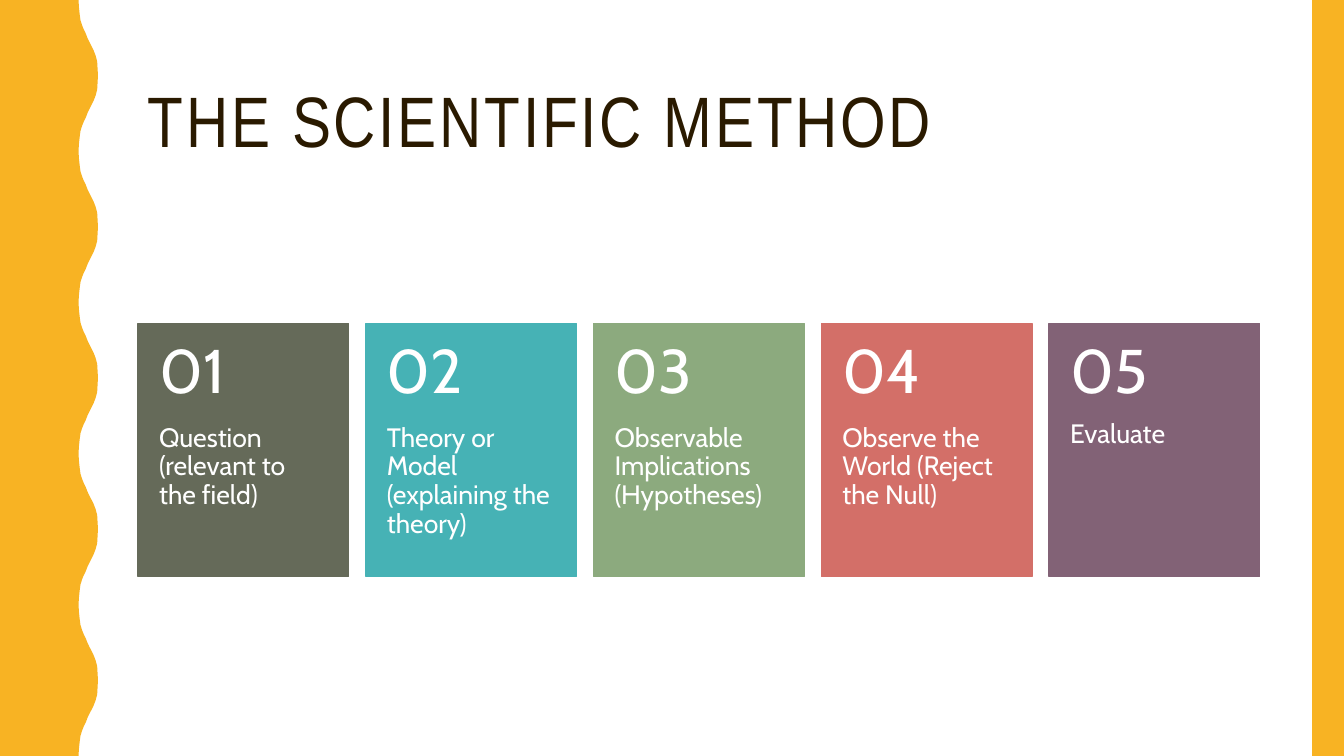
from pptx import Presentation
from pptx.dml.color import RGBColor
from pptx.enum.shapes import MSO_SHAPE
from pptx.enum.text import MSO_ANCHOR
from pptx.util import Cm, Pt

AMBER = RGBColor(0xF8, 0xB3, 0x23)
BROWN = RGBColor(0x2A, 0x1A, 0x00)
WHITE = RGBColor(0xFF, 0xFF, 0xFF)
OLIVE = RGBColor(0x65, 0x6A, 0x59)
TEAL = RGBColor(0x46, 0xB2, 0xB5)
GREEN = RGBColor(0x8C, 0xAA, 0x7E)
CORAL = RGBColor(0xD3, 0x6F, 0x68)
PLUM = RGBColor(0x82, 0x62, 0x76)

WIDTH, HEIGHT = 33.87, 19.05
WAVE_PERIOD = 3.81
HALF_WAVE = [
    (1.98, 0), (1.99, 0.18), (2.01, 0.36), (2.03, 0.51), (2.07, 0.64),
    (2.11, 0.74), (2.16, 0.84), (2.21, 0.97), (2.26, 1.07), (2.31, 1.17),
    (2.36, 1.27), (2.41, 1.4), (2.45, 1.55), (2.46, 1.73), (2.47, 1.9),
]
CARD_LEFT, CARD_TOP, CARD_PITCH = 3.48, 8.15, 5.74
CARD_WIDTH, CARD_HEIGHT, NUMBER_HEIGHT = 5.31, 6.38, 2.54
STEPS = [
    ("Question (relevant to the field)", OLIVE),
    ("Theory or Model (explaining the theory)", TEAL),
    ("Observable Implications (Hypotheses)", GREEN),
    ("Observe the World (Reject the Null)", CORAL),
    ("Evaluate", PLUM),
]
TITLE = {"size": Pt(51), "name": "Arial Narrow"}
NUMBER = {"size": Pt(44), "name": "Cabin"}
LABEL = {"size": Pt(19), "name": "Cabin"}


class Deck:
    """Draws styled elements on the current slide."""

    def __init__(self, slide):
        self.s = slide

    def paint(self, sp, color, outlined=False):
        sp.shadow.inherit = False
        sp.fill.solid()
        sp.fill.fore_color.rgb = color
        if outlined:
            sp.line.color.rgb = color
            sp.line.width = Pt(1)
        else:
            sp.line.fill.background()

    def rect(self, box, color, outlined=False):
        sp = self.s.shapes.add_shape(MSO_SHAPE.RECTANGLE, *map(Cm, box))
        self.paint(sp, color, outlined)

    def wave(self, color):
        mirrored = [(x, WAVE_PERIOD - y) for x, y in reversed(HALF_WAVE[1:-1])]
        edge = [(x, y + i * WAVE_PERIOD)
                for i in range(5) for x, y in HALF_WAVE + mirrored]
        points = edge + [(HALF_WAVE[0][0], HEIGHT), (0, HEIGHT)]
        builder = self.s.shapes.build_freeform(0, 0)
        builder.add_line_segments([(Cm(x), Cm(y)) for x, y in points])
        self.paint(builder.convert_to_shape(), color)

    def text(self, box, text, font, color, insets, anchor=MSO_ANCHOR.MIDDLE,
             spacing=None):
        tf = self.s.shapes.add_textbox(*map(Cm, box)).text_frame
        left, top, right, bottom = map(Cm, insets)
        frame = {"word_wrap": True, "vertical_anchor": anchor,
                 "margin_left": left, "margin_top": top,
                 "margin_right": right, "margin_bottom": bottom}
        for key, value in frame.items():
            setattr(tf, key, value)
        p = tf.paragraphs[0]
        p.line_spacing = 0.9
        r = p.add_run()
        r.text = text
        for key, value in font.items():
            setattr(r.font, key, value)
        r.font.color.rgb = color
        if spacing:
            r.font._element.set("spc", str(spacing))

    def card(self, index, label, color):
        left = CARD_LEFT + index * CARD_PITCH
        self.rect((left, CARD_TOP, CARD_WIDTH, CARD_HEIGHT), color, True)
        self.text((left, CARD_TOP + NUMBER_HEIGHT, CARD_WIDTH,
                   CARD_HEIGHT - NUMBER_HEIGHT), label, LABEL, WHITE,
                  (0.53, 0, 0.53, 0.91), MSO_ANCHOR.TOP)
        self.text((left, CARD_TOP, CARD_WIDTH, NUMBER_HEIGHT),
                  f"{index + 1:02}", NUMBER, WHITE, (0.53, 0.46, 0.53, 0.46))


def main():
    prs = Presentation()
    prs.slide_width, prs.slide_height = Cm(WIDTH), Cm(HEIGHT)
    deck = Deck(prs.slides.add_slide(prs.slide_layouts[6]))
    deck.text((3.48, 1.07, 28.27, 4.14), "THE SCIENTIFIC METHOD", TITLE, BROWN,
              (0.25, 0.13, 0.25, 0.13), spacing=200)
    deck.wave(AMBER)
    deck.rect((33.07, 0, 0.8, HEIGHT), AMBER)
    for i, (label, color) in enumerate(STEPS):
        deck.card(i, label, color)
    prs.save("out.pptx")


if __name__ == "__main__":
    main()
